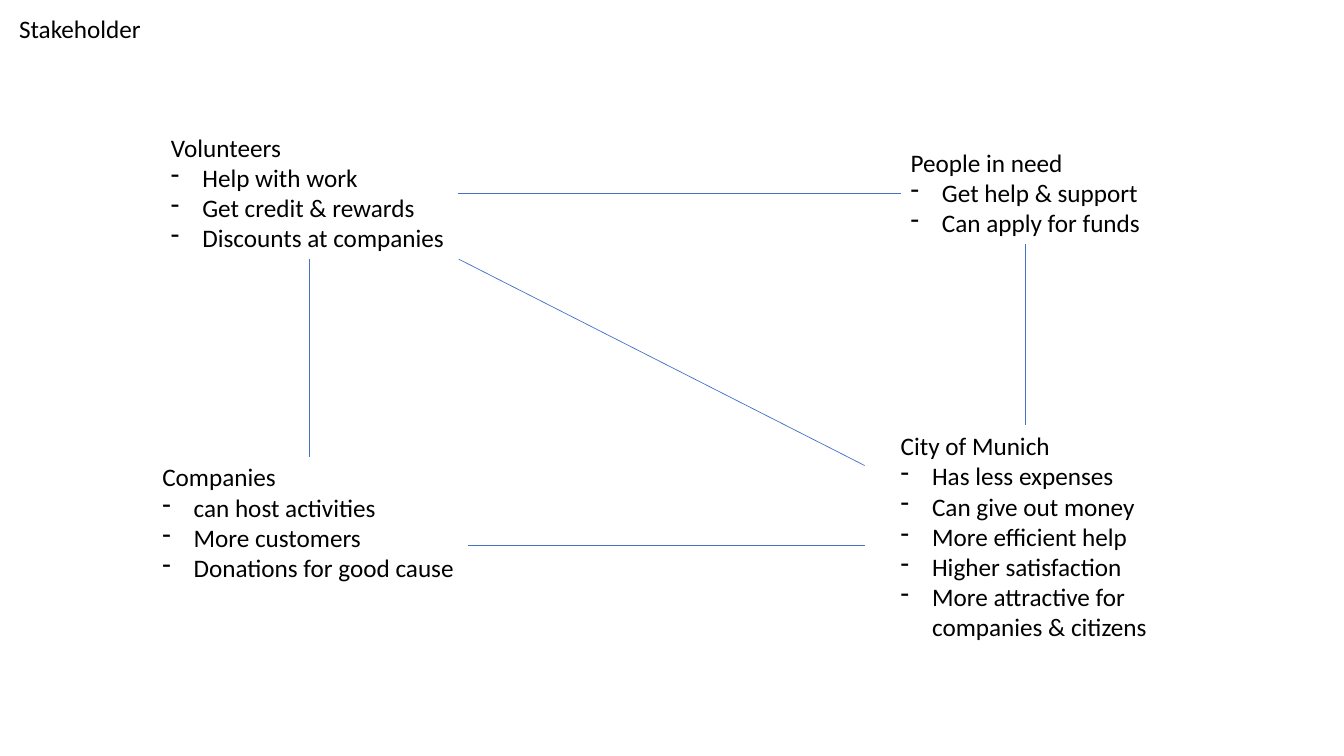
"""Build the stakeholder map slide."""
from lxml.etree import SubElement
from pptx import Presentation
from pptx.dml.color import RGBColor as Rgb
from pptx.enum.shapes import MSO_CONNECTOR as Link
from pptx.enum.text import MSO_AUTO_SIZE as Fit
from pptx.oxml.ns import qn
from pptx.util import Cm, Pt

TITLE = ("Stakeholder", (0.23, 0.2, 3.61, 1.02))
GROUPS = {
    "Companies": ((3.84, 11.51, 7.92, 3.33), [
        "can host activities", "More customers", "Donations for good cause"]),
    "Volunteers": ((4.06, 3.2, 7.48, 3.33), [
        "Help with work", "Get credit & rewards", "Discounts at companies"]),
    "People in need": ((22.7, 3.58, 6.3, 2.57), [
        "Get help & support", "Can apply for funds"]),
    "City of Munich": ((22.45, 10.72, 6.8, 5.64), [
        "Has less expenses", "Can give out money", "More efficient help",
        "Higher satisfaction", "More attractive for\vcompanies & citizens"]),
}
TOP, LEFT, BOTTOM, RIGHT = range(4)
JOINS = [
    ("Volunteers", BOTTOM, "Companies", TOP),
    ("Volunteers", RIGHT, "People in need", LEFT),
    ("People in need", BOTTOM, "City of Munich", TOP),
]
LOOSE = [(11.56, 6.53, 21.79, 11.73), (11.79, 13.74, 21.79, 13.74)]
THEME = {
    "font": "Calibri", "size": Pt(18), "ink": Rgb(0, 0, 0),
    "line": Rgb(0x44, 0x72, 0xC4), "width": Pt(0.5), "indent": Cm(0.79),
}


def add_text(slide, text, spot, items=()):
    box = slide.shapes.add_textbox(*map(Cm, spot))
    frame = box.text_frame
    frame.word_wrap = False
    frame.auto_size = Fit.SHAPE_TO_FIT_TEXT
    for i, words in enumerate([text, *items]):
        para = frame.add_paragraph() if i else frame.paragraphs[0]
        para.text = words
        if i:
            props = para._p.get_or_add_pPr()
            props.set("marL", str(THEME["indent"]))
            props.set("indent", str(-THEME["indent"]))
            SubElement(props, qn("a:buFontTx"))
            SubElement(props, qn("a:buChar")).set("char", "-")
        for run in para.runs:
            run.font.name = THEME["font"]
            run.font.size = THEME["size"]
            run.font.color.rgb = THEME["ink"]
    return box


def add_line(slide, ends):
    line = slide.shapes.add_connector(Link.STRAIGHT, *map(Cm, ends))
    line.line.color.rgb = THEME["line"]
    line.line.width = THEME["width"]
    SubElement(line._element.spPr, qn("a:effectLst"))
    return line


def main():
    deck = Presentation()
    deck.slide_width, deck.slide_height = Cm(33.87), Cm(19.05)
    slide = deck.slides.add_slide(deck.slide_layouts[6])
    add_text(slide, *TITLE)
    boxes = {name: add_text(slide, name, spot, items)
             for name, (spot, items) in GROUPS.items()}
    for start, out, end, into in JOINS:
        line = add_line(slide, (0, 0, 1, 1))
        line.begin_connect(boxes[start], out)
        line.end_connect(boxes[end], into)
    for ends in LOOSE:
        add_line(slide, ends)
    deck.save("out.pptx")


if __name__ == "__main__":
    main()
